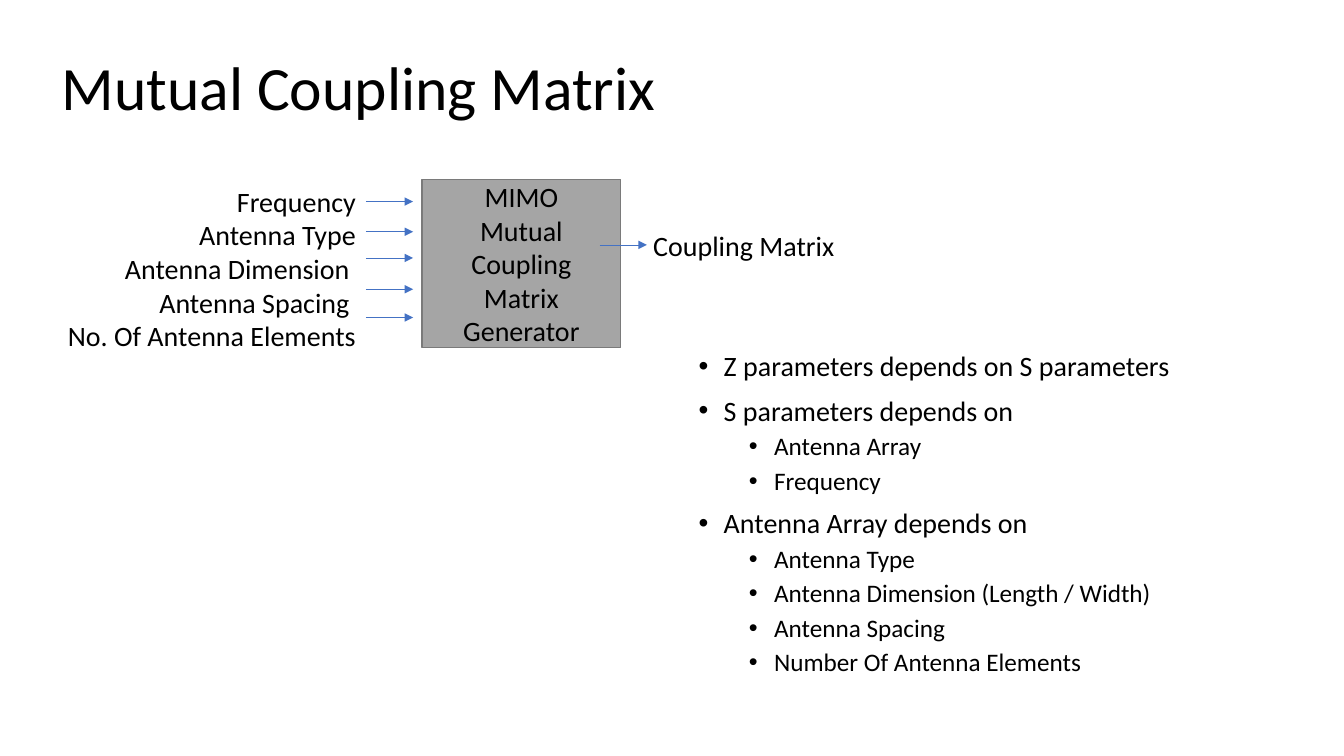
from lxml.etree import SubElement
from pptx import Presentation
from pptx.dml.color import RGBColor
from pptx.enum.shapes import MSO_CONNECTOR as Link, MSO_SHAPE as Shape
from pptx.enum.text import MSO_ANCHOR as Anchor, MSO_AUTO_SIZE as Fit, PP_ALIGN as Align
from pptx.oxml.ns import qn
from pptx.util import Cm, Pt

COLORS = {"text": "000000", "box": "A5A5A5", "edge": "7A7A7A", "arrow": "4472C4"}
FONT = "Calibri"
INPUTS = ["Frequency", "Antenna Type", "Antenna Dimension ", "Antenna Spacing ",
          "No. Of Antenna Elements"]
ARROW_HEIGHTS = [0.56, 1.32, 1.98, 2.77, 3.48]
DEPENDENCIES = [
    ("Z parameters depends on S parameters", []),
    ("S parameters depends on", ["Antenna Array", "Frequency"]),
    ("Antenna Array depends on", ["Antenna Type", "Antenna Dimension (Length / Width)",
                                  "Antenna Spacing", "Number Of Antenna Elements"]),
]


def color(name):
    """Return the named colour."""
    return RGBColor.from_string(COLORS[name])


def place(shape, left, top, width, height):
    """Move and size a shape, with lengths in centimetres."""
    shape.left, shape.top = Cm(left), Cm(top)
    shape.width, shape.height = Cm(width), Cm(height)


def write(frame, lines, size, align=Align.LEFT):
    """Fill a text frame with one paragraph per line."""
    frame.text = "\n".join(lines)
    for para in frame.paragraphs:
        para.alignment = align
        para.font.name, para.font.size = FONT, Pt(size)
        para.font.color.rgb = color("text")


def add_label(shapes, box, lines, align, wrap):
    """Add a text box for the inputs or the output."""
    label = shapes.add_textbox(*map(Cm, box))
    write(label.text_frame, lines, 20, align)
    label.text_frame.word_wrap = wrap
    label.text_frame.auto_size = Fit.SHAPE_TO_FIT_TEXT


def add_arrow(shapes, left, top, length=1.19):
    """Add a thin horizontal arrow pointing right."""
    arrow = shapes.add_connector(Link.STRAIGHT, Cm(left), Cm(top), Cm(left + length), Cm(top))
    arrow.line.color.rgb = color("arrow")
    arrow.line.width = Pt(0.5)
    SubElement(arrow.line._get_or_add_ln(), qn("a:tailEnd"), type="triangle")
    SubElement(arrow._element.spPr, qn("a:effectLst"))


def add_title(page, box):
    """Place the title."""
    title = page.shapes.title
    place(title, *box)
    write(title.text_frame, ["Mutual Coupling Matrix"], 44)
    title.text_frame.paragraphs[0].line_spacing = 0.9
    title.text_frame.vertical_anchor = Anchor.MIDDLE
    title.text_frame.auto_size = Fit.NONE


def add_diagram(page, left, top):
    """Draw the inputs, the generator and its output from a top left corner."""
    shapes = page.shapes.add_group_shape().shapes
    generator = shapes.add_shape(Shape.RECTANGLE, Cm(left + 9.62), Cm(top), Cm(5), Cm(4.24))
    generator.shadow.inherit = False
    generator.fill.solid()
    generator.fill.fore_color.rgb = color("box")
    generator.line.color.rgb = color("edge")
    generator.line.width = Pt(1)
    write(generator.text_frame, ["MIMO", "Mutual Coupling Matrix Generator"], 20, Align.CENTER)
    generator.text_frame.vertical_anchor = Anchor.MIDDLE
    add_label(shapes, (left, top, 8.2, 4.52), INPUTS, Align.RIGHT, True)
    add_label(shapes, (left + 15.19, top + 1.12, 5.28, 1.12), ["Coupling Matrix"],
              Align.LEFT, False)
    for height in ARROW_HEIGHTS:
        add_arrow(shapes, left + 8.2, top + height)
    add_arrow(shapes, left + 14.09, top + 1.65)


def add_dependencies(page, box):
    """Place the two-level list of dependencies."""
    body = page.placeholders[1]
    place(body, *box)
    items = [(text, level) for head, subs in DEPENDENCIES
             for text, level in [(head, 0)] + [(sub, 1) for sub in subs]]
    frame = body.text_frame
    write(frame, [text for text, _ in items], 20)
    frame.auto_size = Fit.NONE
    frame.vertical_anchor = Anchor.TOP
    for para, (_, level) in zip(frame.paragraphs, items):
        para.level = level
        para.font.size = Pt(18 if level else 20)
        para.line_spacing = 0.9
        para.space_before = Pt(5 if level else 10)
        props = para._p.get_or_add_pPr()
        props.set("marL", str(Pt(54 if level else 18)))
        props.set("indent", str(-Pt(18)))
        bullet_font = props.makeelement(qn("a:buFont"), {"typeface": "Arial"})
        bullet = props.makeelement(qn("a:buChar"), {"char": "•"})
        defaults = props.find(qn("a:defRPr"))
        defaults.addprevious(bullet_font)
        defaults.addprevious(bullet)


def main():
    """Build and save the slide."""
    deck = Presentation()
    deck.slide_width, deck.slide_height = Cm(33.87), Cm(19.05)
    page = deck.slides.add_slide(deck.slide_layouts[1])
    add_title(page, (1.3, 0.43, 29.21, 3.68))
    add_dependencies(page, (17.35, 8.76, 16.5, 10.2))
    add_diagram(page, 1.02, 4.52)
    deck.save("out.pptx")


if __name__ == "__main__":
    main()
